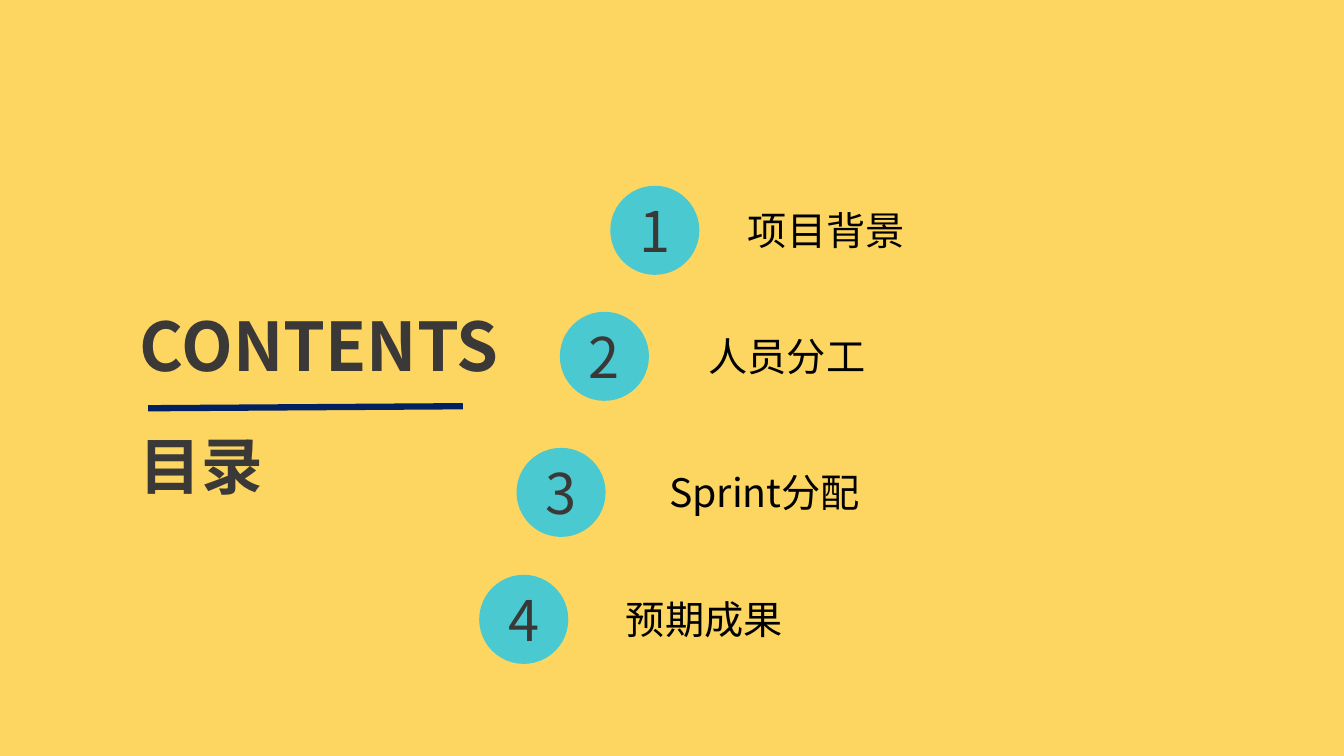
import pptx
import pptx.dml.color
import pptx.enum.shapes
import pptx.enum.text
import pptx.oxml.ns
import pptx.util
from lxml import etree
from pptx.util import Inches

FONT = "Noto Sans CJK SC"
YELLOW, TEAL, NAVY = "FDD661", "4BC9D0", "002060"
CHARCOAL, BLACK = "3B3838", "000000"
CIRCLE_SIZE = 0.87
LABEL_DROP = 0.15

# circle left, circle top, label left, label width, label
TOPICS = [
    (6.06, 1.85, 7.32, 4.34, "项目背景"),
    (5.56, 3.1, 6.93, 4.34, "人员分工"),
    (5.13, 4.45, 6.54, 5.19, "Sprint分配"),
    (4.76, 5.71, 6.11, 5.62, "预期成果"),
]


def color(hex_code):
    return pptx.dml.color.RGBColor.from_string(hex_code)


def add_run(para, text, size, hex_code, bold=False):
    """Add a run whose font also applies to Chinese characters."""
    span = para.add_run()
    span.text = text
    span.font.size = pptx.util.Pt(size)
    span.font.bold = bold
    span.font.color.rgb = color(hex_code)
    span.font.name = FONT
    east_asian = etree.SubElement(span.font._element, pptx.oxml.ns.qn("a:ea"))
    east_asian.set("typeface", FONT)


def add_text(page, left, top, width, height, text, size, hex_code, bold=False):
    box = page.shapes.add_textbox(
        Inches(left), Inches(top), Inches(width), Inches(height))
    frame = box.text_frame
    frame.word_wrap = True
    frame.auto_size = pptx.enum.text.MSO_AUTO_SIZE.SHAPE_TO_FIT_TEXT
    add_run(frame.paragraphs[0], text, size, hex_code, bold)


def add_number_circle(page, left, top, number):
    circle = page.shapes.add_shape(
        pptx.enum.shapes.MSO_SHAPE.OVAL, Inches(left), Inches(top),
        Inches(CIRCLE_SIZE), Inches(CIRCLE_SIZE))
    circle.shadow.inherit = False
    circle.fill.solid()
    circle.fill.fore_color.rgb = color(TEAL)
    circle.line.color.rgb = color(TEAL)
    circle.line.width = pptx.util.Pt(1)
    frame = circle.text_frame
    frame.vertical_anchor = pptx.enum.text.MSO_ANCHOR.MIDDLE
    para = frame.paragraphs[0]
    para.alignment = pptx.enum.text.PP_ALIGN.CENTER
    add_run(para, str(number), 40, CHARCOAL)


def add_rule(page, start_x, start_y, end_x, end_y):
    rule = page.shapes.add_connector(
        pptx.enum.shapes.MSO_CONNECTOR.STRAIGHT,
        Inches(start_x), Inches(start_y), Inches(end_x), Inches(end_y))
    rule.line.color.rgb = color(NAVY)
    rule.line.width = pptx.util.Pt(4.5)
    etree.SubElement(rule._element.spPr, pptx.oxml.ns.qn("a:effectLst"))


def main():
    deck = pptx.Presentation()
    deck.slide_width, deck.slide_height = Inches(13.33), Inches(7.5)
    page = deck.slides.add_slide(deck.slide_layouts[6])
    page.background.fill.solid()
    page.background.fill.fore_color.rgb = color(YELLOW)

    add_text(page, 1.29, 2.97, 4.34, 0.91, "CONTENTS", 48, CHARCOAL, bold=True)
    add_rule(page, 1.47, 4.05, 4.59, 4.03)
    add_text(page, 1.29, 4.2, 3, 0.84, "目录", 44, CHARCOAL, bold=True)

    for number, topic in enumerate(TOPICS, start=1):
        circle_left, top, label_left, label_width, label = topic
        add_text(page, label_left, top + LABEL_DROP, label_width, 0.57,
                 label, 28, BLACK)
        add_number_circle(page, circle_left, top, number)

    deck.save("out.pptx")


if __name__ == "__main__":
    main()
